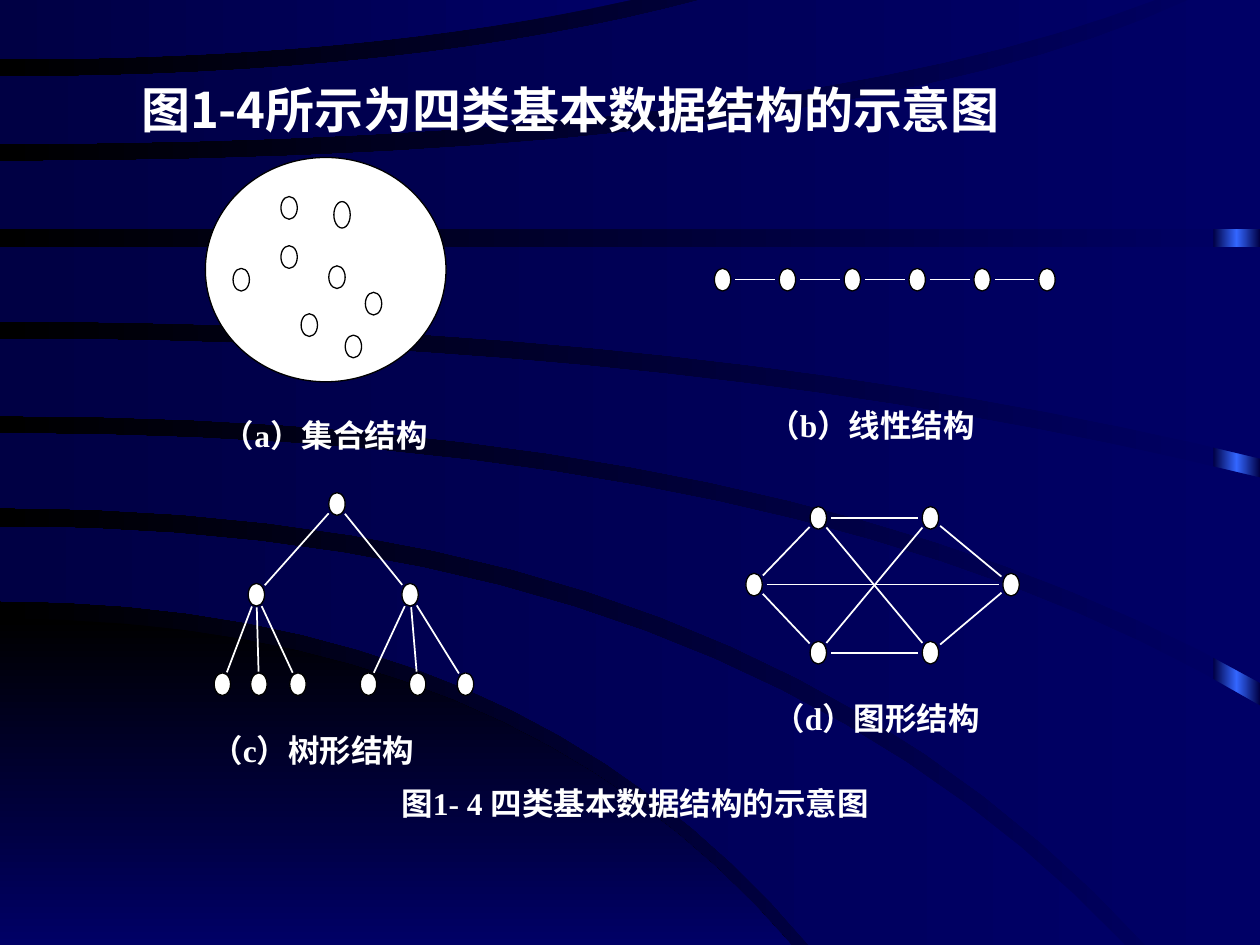
from math import hypot
from typing import NamedTuple

from lxml.etree import SubElement
from pptx import Presentation
from pptx.dml.color import RGBColor
from pptx.enum.shapes import MSO_CONNECTOR, MSO_SHAPE
from pptx.enum.text import MSO_ANCHOR, PP_ALIGN
from pptx.oxml.ns import qn
from pptx.util import Inches, Pt

COLS, ROWS = 100, 75
WHITE, BLACK = "FFFFFF", "000000"
NAVY, DARK, BLUE = "000066", "000044", "3366FF"
SANS, SERIF = "Noto Sans CJK SC", "Times New Roman"
STEPS = 16
GAP = 1


class Edge(NamedTuple):
    start: float
    bend: float
    x: float
    y: float

    def points(self) -> list:
        shares = [i / STEPS for i in range(STEPS + 1)]
        return [(2 * t * (1 - t) * self.bend + t * t * self.x,
                 self.start + t * t * (self.y - self.start)) for t in shares]


class Band(NamedTuple):
    top: Edge
    low: Edge
    stops: tuple = (NAVY, DARK)
    angle: int = 180


class Dot(NamedTuple):
    x: float
    y: float
    w: float = 1.3
    h: float = 1.8


class Link(NamedTuple):
    tail: Dot
    head: Dot
    width: float = 1


class Note(NamedTuple):
    text: str
    x: float
    y: float
    w: float = 20
    h: float = 3.5
    align: PP_ALIGN = PP_ALIGN.LEFT


def level(y: float, x: float = COLS) -> Edge:
    return Edge(y, x / 2, x, y)


BANDS = [
    Band(Edge(49.1, 40.6, 62.8, ROWS), level(ROWS, 62.8), (BLACK, NAVY), 270),
    Band(Edge(41.8, 57.8, 89.3, ROWS), Edge(47.7, 41.3, 64.2, ROWS)),
    Band(Edge(34.4, 64, COLS, 56), Edge(40.3, 59.4, 90.9, ROWS)),
    Band(Edge(26.9, 55.4, COLS, 37.9), Edge(33, 62.8, COLS, 54.2)),
    Band(level(19.6), Edge(25.5, 56, COLS, 36.4)),
    Band(Edge(12.8, 66.9, 94.3, 0), level(18.2)),
    Band(Edge(6.1, 32.8, 55.6, 0), Edge(11.4, 62, 91.7, 0)),
    Band(level(0, 50.1), Edge(4.7, 29, 50.1, 0)),
]

BAG = [
    Dot(16.3, 12.5, 19.1, 17.8),
    Dot(22.3, 15.6), Dot(26.5, 16, h=2.1), Dot(22.3, 19.5), Dot(18.5, 21.3),
    Dot(26.1, 21.1), Dot(29, 23.2), Dot(23.9, 24.9), Dot(27.4, 26.6),
]
CHAIN = [Dot(56.7 + 5.15 * i, 21.3) for i in range(6)]
ROOT = Dot(26.1, 39.1)
FORKS = [Dot(x, 46.3) for x in (19.7, 31.9)]
LEAVES = [Dot(x, 53.4) for x in (17, 19.9, 23, 28.6, 32.5, 36.3)]
RING = [Dot(59.2, 45.5), Dot(64.3, 40.2), Dot(73.2, 40.2),
        Dot(79.6, 45.5), Dot(73.2, 50.9), Dot(64.3, 50.9)]
DOTS = BAG + CHAIN + [ROOT] + FORKS + LEAVES + RING

LINKS = [
    *(Link(a, b, 0.75) for a, b in zip(CHAIN, CHAIN[1:])),
    *(Link(ROOT, fork) for fork in FORKS),
    *(Link(FORKS[i // 3], leaf) for i, leaf in enumerate(LEAVES)),
    *(Link(a, b) for a, b in zip(RING, RING[1:] + RING[:1])),
    *(Link(a, b) for a, b in zip(RING[:3], RING[3:])),
]

NOTES = [
    Note("（a）集合结构", 16.7, 32.5, 24.2),
    Note("（b）线性结构", 60, 31.7),
    Note("（c）树形结构", 15.8, 57.5),
    Note("（d）图形结构", 60.4, 55),
    Note("图1- 4 四类基本数据结构的示意图", 27.5, 61.7, 45.8, align=PP_ALIGN.CENTER),
]


def cell(n: float) -> int:
    return Inches(n * 10 / COLS)


def paint(code: str) -> RGBColor:
    return RGBColor.from_string(code)


def blend(fill, root, stops: tuple, angle: int) -> None:
    fill.gradient()
    fill.gradient_angle = angle
    parts = next(root.iter(qn("a:gsLst")))
    parts.clear()
    for i, code in enumerate(stops):
        stop = SubElement(parts, qn("a:gs"), pos=str(100000 * i // (len(stops) - 1)))
        SubElement(stop, qn("a:srgbClr"), val=code)


def draw_band(shapes, band: Band) -> None:
    top, low = band.top, band.low
    corner = (max(top.x, low.x), max(top.y, low.y) if top.y else 0)
    route = top.points() + [corner] + low.points()[::-1]
    first, *rest = [(cell(x), cell(y)) for x, y in route]
    pen = shapes.build_freeform(*first)
    pen.add_line_segments(rest)
    shape = pen.convert_to_shape()
    shape.shadow.inherit = False
    shape.line.fill.background()
    blend(shape.fill, shape.element, band.stops, band.angle)


def draw_strip(shapes) -> None:
    strip = shapes.add_shape(MSO_SHAPE.RECTANGLE, *map(cell, (96.3, 0, 3.7, ROWS)))
    strip.shadow.inherit = False
    strip.line.fill.background()
    blend(strip.fill, strip.element, (DARK, BLUE, DARK), 180)


def draw_dot(shapes, dot: Dot) -> None:
    shape = shapes.add_shape(MSO_SHAPE.OVAL, *map(cell, dot))
    shape.shadow.inherit = False
    shape.fill.solid()
    shape.fill.fore_color.rgb = paint(WHITE)
    shape.line.color.rgb = paint(BLACK)
    shape.line.width = Pt(0.75)


def draw_link(shapes, link: Link) -> None:
    (x1, y1), (x2, y2) = [(d.x + d.w / 2, d.y + d.h / 2) for d in link[:2]]
    share = GAP / hypot(x2 - x1, y2 - y1)
    dx, dy = (x2 - x1) * share, (y2 - y1) * share
    ends = map(cell, (x1 + dx, y1 + dy, x2 - dx, y2 - dy))
    line = shapes.add_connector(MSO_CONNECTOR.STRAIGHT, *ends)
    line.line.color.rgb = paint(WHITE)
    line.line.width = Pt(link.width)
    SubElement(line.element.spPr, qn("a:effectLst"))


def write(shape, text: str, size: int, face: str, align: PP_ALIGN) -> None:
    frame = shape.text_frame
    frame.text = text
    frame.word_wrap = True
    frame.vertical_anchor = MSO_ANCHOR.TOP
    para = frame.paragraphs[0]
    para.alignment = align
    para.space_before = Pt(0)
    run = para.runs[0]
    run.font.size, run.font.bold, run.font.name = Pt(size), True, face
    run.font.color.rgb = paint(WHITE)
    props = next(shape.element.iter(qn("a:rPr")))
    SubElement(props, qn("a:ea"), typeface=SANS)


def main() -> None:
    deck = Presentation()
    deck.slide_width, deck.slide_height = cell(COLS), cell(ROWS)
    slide = deck.slides.add_slide(deck.slide_layouts[5])
    shapes = slide.shapes
    blend(slide.background.fill, slide.element, (NAVY, BLACK), 180)
    draw_strip(shapes)
    for band in BANDS:
        draw_band(shapes, band)
    title = shapes.title
    title.left, title.top, title.width, title.height = map(cell, (10.2, 5.8, 84, 5.7))
    write(title, "图1-4所示为四类基本数据结构的示意图", 28, SANS, PP_ALIGN.LEFT)
    shapes.element.append(title.element)
    for dot in DOTS:
        draw_dot(shapes, dot)
    for link in LINKS:
        draw_link(shapes, link)
    for note in NOTES:
        box = shapes.add_textbox(*map(cell, note[1:5]))
        write(box, note.text, 18, SERIF, note.align)
    deck.save("out.pptx")


if __name__ == "__main__":
    main()
